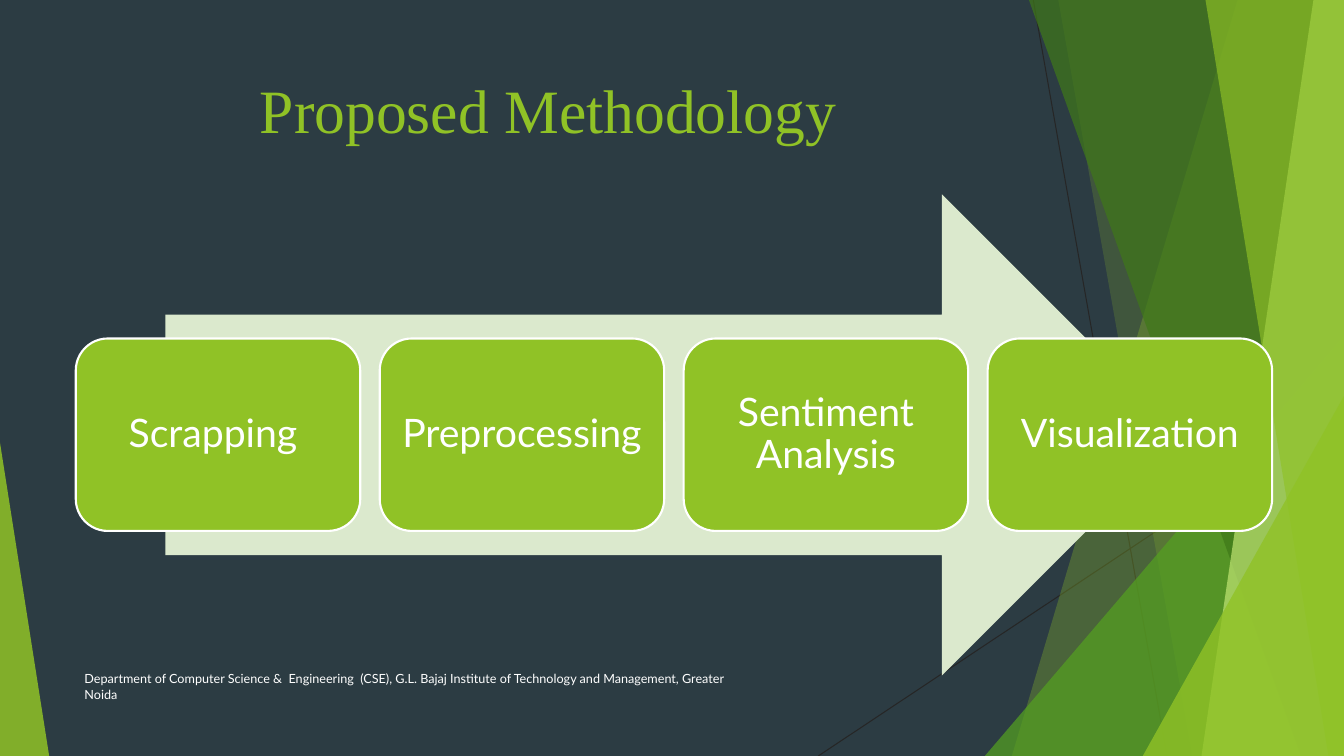
from dataclasses import dataclass

from lxml.etree import SubElement
from pptx import Presentation
from pptx.dml.color import RGBColor
from pptx.enum.shapes import MSO_CONNECTOR, MSO_SHAPE
from pptx.enum.text import MSO_ANCHOR, PP_ALIGN
from pptx.oxml.ns import qn
from pptx.util import Cm, Pt


@dataclass(frozen=True)
class Theme:
    """Colours, fonts and type sizes of the slide."""
    background: str = "2C3C43"
    lime: str = "90C226"
    leaf: str = "54A021"
    forest: str = "3F7819"
    pale_lime: str = "C0E474"
    mist: str = "DBE9CD"
    white: str = "FFFFFF"
    hairline: str = "262626"
    heading_font: str = "Times New Roman"
    body_font: str = "Lato"
    title_size: int = 44
    step_size: int = 28
    footer_size: int = 9


THEME = Theme()
WIDTH, HEIGHT = 33.87, 19.05
STEPS = ["Scrapping ", "Preprocessing", "Sentiment Analysis", "Visualization"]
FOOTER = ("Department of Computer Science &  Engineering  (CSE), G.L. Bajaj "
          "Institute of Technology and Management, Greater Noida")


def rgb(colour):
    """Turn a hex string into a colour."""
    return RGBColor.from_string(colour)


def paint(shape, colour, opacity=100):
    """Give a shape a flat fill with no outline or shadow."""
    shape.shadow.inherit = False
    shape.fill.solid()
    shape.fill.fore_color.rgb = rgb(colour)
    shape.line.fill.background()
    if opacity < 100:
        tint = shape._element.spPr.find(qn("a:solidFill"))[0]
        SubElement(tint, qn("a:alpha")).set("val", str(opacity * 1000))


def add_hairline(slide, x1, y1, x2, y2):
    """Draw a thin decorative line."""
    hairline = slide.shapes.add_connector(
        MSO_CONNECTOR.STRAIGHT, Cm(x1), Cm(y1), Cm(x2), Cm(y2))
    hairline.line.color.rgb = rgb(THEME.hairline)
    hairline.line.width = Pt(0.75)
    SubElement(hairline._element.spPr, qn("a:effectLst"))


def add_shard(slide, top_x, bottom_x, colour, opacity):
    """Fill the area from a slanted left edge to the right slide edge."""
    outline = slide.shapes.build_freeform(Cm(top_x), Cm(0))
    outline.add_line_segments([(Cm(WIDTH), Cm(0)), (Cm(WIDTH), Cm(HEIGHT)),
                               (Cm(bottom_x), Cm(HEIGHT))])
    paint(outline.convert_to_shape(), colour, opacity)


def add_corner(slide, left, top, width, apex, colour, opacity):
    """Draw a right triangle standing on the bottom slide edge."""
    corner = slide.shapes.add_shape(
        MSO_SHAPE.ISOSCELES_TRIANGLE,
        Cm(left), Cm(top), Cm(width), Cm(HEIGHT - top))
    corner.adjustments[0] = apex
    paint(corner, colour, opacity)


def write(shape, text, font, size, colour, align, anchor):
    """Set the single paragraph of a shape."""
    frame = shape.text_frame
    frame.word_wrap = True
    frame.vertical_anchor = anchor
    paragraph = frame.paragraphs[0]
    paragraph.text = text
    paragraph.alignment = align
    paragraph.font.name = font
    paragraph.font.size = Pt(size)
    paragraph.font.color.rgb = rgb(colour)
    return paragraph


def add_label(slide, box, *style):
    """Add a text box at left, top, width, height."""
    write(slide.shapes.add_textbox(*map(Cm, box)), *style)


def add_step(slide, index, name):
    """Add one rounded step of the process row."""
    step = slide.shapes.add_shape(
        MSO_SHAPE.ROUNDED_RECTANGLE,
        Cm(1.91 + index * 7.66), Cm(8.53), Cm(7.17), Cm(4.85))
    paint(step, THEME.lime)
    step.line.color.rgb = rgb(THEME.white)
    step.line.width = Pt(1.5)
    frame = step.text_frame
    frame.margin_left = frame.margin_right = Cm(0.3)
    frame.margin_top = frame.margin_bottom = Cm(0.3)
    paragraph = write(step, name, THEME.body_font, THEME.step_size,
                      THEME.white, PP_ALIGN.CENTER, MSO_ANCHOR.MIDDLE)
    paragraph.line_spacing = 0.9


def add_backdrop(slide):
    """Draw the overlapping green facets."""
    add_hairline(slide, 26.04, 0, 29.41, HEIGHT)
    add_hairline(slide, WIDTH, 10.24, 20.62, HEIGHT)
    add_shard(slide, 31.19, 25.5, THEME.lime, 30)
    add_shard(slide, 26.67, 30.05, THEME.lime, 20)
    add_corner(slide, 24.82, 8.46, 9.05, 1, THEME.leaf, 72)
    add_shard(slide, 25.93, 32.79, THEME.forest, 70)
    add_shard(slide, 33.1, 30.28, THEME.pale_lime, 70)
    add_shard(slide, 30.38, 33.48, THEME.lime, 65)
    add_corner(slide, 28.8, 9.98, 5.07, 1, THEME.lime, 80)
    add_corner(slide, 0, 11.15, 1.24, 0, THEME.lime, 85)


def add_process(slide):
    """Draw the arrow and the steps on it."""
    arrow = slide.shapes.add_shape(
        MSO_SHAPE.RIGHT_ARROW, Cm(4.17), Cm(4.9), Cm(25.63), Cm(12.12))
    paint(arrow, THEME.mist)
    for index, name in enumerate(STEPS):
        add_step(slide, index, name)


def main():
    """Build and save the slide."""
    deck = Presentation()
    deck.slide_width, deck.slide_height = Cm(WIDTH), Cm(HEIGHT)
    slide = deck.slides.add_slide(deck.slide_layouts[6])
    slide.background.fill.solid()
    slide.background.fill.fore_color.rgb = rgb(THEME.background)
    add_backdrop(slide)
    add_label(slide, (1.88, 1.7, 23.88, 3.66), "Proposed Methodology",
              THEME.heading_font, THEME.title_size, THEME.lime,
              PP_ALIGN.CENTER, MSO_ANCHOR.TOP)
    add_process(slide)
    add_label(slide, (1.88, 16.79, 17.5, 1.02), FOOTER,
              THEME.body_font, THEME.footer_size, THEME.white,
              PP_ALIGN.LEFT, MSO_ANCHOR.MIDDLE)
    deck.save("out.pptx")


if __name__ == "__main__":
    main()
